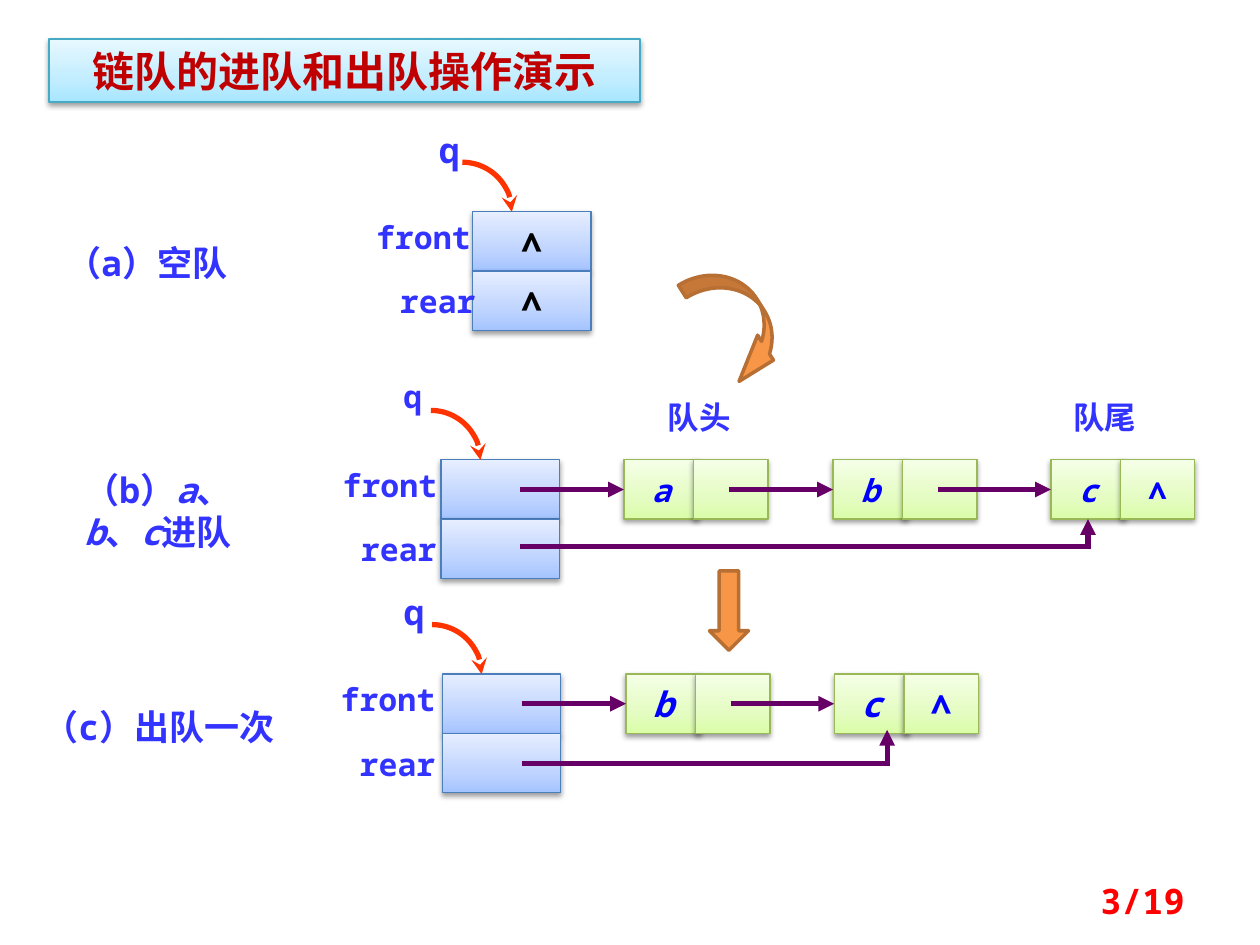
"""Build a slide that shows enqueue and dequeue on a linked queue."""
from lxml.etree import SubElement
from pptx import Presentation
from pptx.dml.color import RGBColor
from pptx.enum.shapes import MSO_CONNECTOR as LINE, MSO_SHAPE as SHAPE
from pptx.enum.text import MSO_ANCHOR as ANCHOR, PP_ALIGN as ALIGN
from pptx.oxml.ns import qn
from pptx.util import Pt

THEME = {
    "font": "Noto Sans Mono",
    "title": "C00000", "label": "3333FF", "null": "000000", "data": "0000FF", "page": "FF0000",
    "pointer": "660066", "entry": "FF3300", "step": "F79646", "step_line": "B76F34",
    "big": 24, "normal": 20, "small": 18, "thick": 3, "medium": 2, "thin": 0.75,
    "banner": (("A7E6FF", "C1EDFF", "E7F8FF"), "46AAC5"),
    "head": (("A4C4FF", "BFD4FF", "E6EEFF"), "4B7EBC"),
    "node": (("DAFDA7", "E4FCC2", "F5FFE7"), "98B955"),
}
TITLE = ("链队的进队和出队操作演示", (28, 22.3, 337.7, 36))
PAGE = ("3/19", (516, 500.4, 168, 28.8))
CAPTIONS = [
    ([("（a）空队", False)], (21.6, 134.6, 124.6, 31.7)),
    ([("（b）", False), ("a", True), ("、", False), ("b", True), ("、", False),
      ("c", True), ("进队", False)], (28, 264.2, 124.6, 55.4)),
    ([("（c）出队一次", False)], (5.8, 399.6, 170, 31)),
]
MARKS = [("队头", 399.6, 223.9), ("队尾", 631.4, 223.9)]
STAGES = [
    {"at": (270, 121), "head": "∧", "nodes": [], "size": "normal", "q_size": "normal",
     "labels": (-13.3, -28.1, -19.8)},
    {"at": (252, 262.8), "head": "", "nodes": [("a", 104.5), ("b", 224), ("c", 348.5)],
     "size": "small", "q_size": "small", "labels": (-16.2, -29.2, -24.1),
     "rear_y": 49.7, "turn": 0},
    {"at": (252.7, 385.2), "head": "", "nodes": [("b", 105), ("c", 224)],
     "size": "normal", "q_size": "normal", "labels": (-16.2, -31, -25.5),
     "rear_y": 51, "turn": 9},
]
STEPS = [
    (SHAPE.CURVED_LEFT_ARROW, (404.6, 148.3, 33.8, 73.4), 327.7, (0.25, 0.5, 0.684)),
    (SHAPE.DOWN_ARROW, (405.4, 326.2, 22.3, 45.4), 0, ()),
]
CELL_W, CELL_H = 67.7, 33.9
NODE_W, NODE_H, NODE_STEP = 42.5, 33.9, 39.8
HEAD_OUT, NODE_OUT, ARC_R, ARC_DX = 45.4, 59.8, 28.3, -5.8
LABEL_W, LABEL_H = 80, 29


def set_all(obj, **values):
    for name, value in values.items():
        setattr(obj, name, value)


def color(key):
    return RGBColor.from_string(THEME.get(key, key))


def points(box):
    return [Pt(v) for v in box]


def write(sp, runs, size, tint, align=ALIGN.CENTER, anchor=ANCHOR.TOP, wrap=True):
    tf = sp.text_frame
    set_all(tf, word_wrap=wrap, vertical_anchor=anchor)
    p = tf.paragraphs[0]
    p.alignment = align
    for text, italic in runs:
        r = p.add_run()
        r.text = text
        set_all(r.font, name=THEME["font"], size=Pt(THEME[size]), bold=True, italic=italic)
        r.font.color.rgb = color(tint)
        SubElement(r.font._element, qn("a:ea"), typeface=THEME["font"])


def add_text(slide, box, runs, size, **style):
    sp = slide.shapes.add_textbox(*points(box))
    write(sp, runs, size, **{"tint": "label", **style})


def add_label(slide, text, center, top, size="small"):
    add_text(slide, (center - LABEL_W / 2, top, LABEL_W, LABEL_H), [(text, False)], size)


def outline(sp, tint, width, tip=None):
    sp.line.color.rgb = color(tint)
    sp.line.width = Pt(THEME[width])
    if tip:
        SubElement(sp._element.spPr.find(qn("a:ln")), qn("a:tailEnd"), type=tip)


def shade(sp, look):
    stops, edge = THEME[look]
    sp.fill.gradient()
    sp.fill.gradient_angle = 90
    spPr = sp._element.spPr
    gs_list = spPr.find(".//" + qn("a:gsLst"))
    gs_list.clear()
    for pos, stop in zip((0, 35000, 100000), stops):
        gs = SubElement(gs_list, qn("a:gs"), pos=str(pos))
        SubElement(gs, qn("a:srgbClr"), val=stop)
    outline(sp, edge, "thin")
    sp.shadow.inherit = False
    shadow = SubElement(spPr.find(qn("a:effectLst")), qn("a:outerShdw"), blurRad=str(Pt(3.1)),
                        dist=str(Pt(1.6)), dir="5400000", rotWithShape="0")
    SubElement(SubElement(shadow, qn("a:srgbClr"), val="000000"), qn("a:alpha"), val="38000")


def add_cell(slide, box, look, text="", size="normal", tint="data"):
    sp = slide.shapes.add_shape(SHAPE.RECTANGLE, *points(box))
    shade(sp, look)
    if text:
        write(sp, [(text, text.isalpha())], size, tint, anchor=ANCHOR.MIDDLE, wrap=False)
    return sp


def add_pointer(slide, start, end, tip="triangle", target=None, side=1):
    cxn = slide.shapes.add_connector(LINE.STRAIGHT, *points((*start, *end)))
    if target is not None:
        cxn.end_connect(target, side)
    outline(cxn, "pointer", "thick", tip)
    SubElement(cxn._element.spPr, qn("a:effectLst"))


def add_entry(slide, x, y):
    arc = slide.shapes.add_shape(
        SHAPE.ARC, *points((x + ARC_DX - ARC_R, y - ARC_R, 2 * ARC_R, 2 * ARC_R)))
    arc.fill.background()
    arc.shadow.inherit = False
    outline(arc, "entry", "thick", "stealth")


def add_stage(slide, stage):
    x, y = stage["at"]
    size, nodes = stage["size"], stage["nodes"]
    for row in range(2):
        add_cell(slide, (x, y + row * CELL_H, CELL_W, CELL_H), "head", stage["head"], size, "null")
    mid, start = y + NODE_H / 2, x + HEAD_OUT
    cells = []
    for i, (name, dx) in enumerate(nodes):
        end_mark = "∧" if i == len(nodes) - 1 else ""
        left = x + dx
        cells.append(add_cell(slide, (left, y, NODE_W, NODE_H), "node", name, size))
        add_cell(slide, (left + NODE_STEP, y, NODE_W, NODE_H), "node", end_mark, size)
    for (name, dx), cell in zip(nodes, cells):
        add_pointer(slide, (start, mid), (x + dx, mid), target=cell)
        start = x + dx + NODE_OUT
    if nodes:
        turn = x + nodes[-1][1] + NODE_W / 2 + stage["turn"]
        rear = y + stage["rear_y"]
        add_pointer(slide, (x + HEAD_OUT, rear), (turn, rear), tip=None)
        target = None if stage["turn"] else cells[-1]
        add_pointer(slide, (turn, rear + 1.5), (turn, y + NODE_H - 2), target=target, side=2)
    add_entry(slide, x, y)
    rows = zip(("q", "front", "rear"), stage["labels"], (-51.1, 0, 36.7),
               (stage["q_size"], "small", "small"))
    for text, center, dy, label_size in rows:
        add_label(slide, text, x + center, y + dy, label_size)


def main():
    prs = Presentation()
    set_all(prs, slide_width=Pt(720), slide_height=Pt(540))
    slide = prs.slides.add_slide(prs.slide_layouts[5])
    text, box = TITLE
    title = slide.shapes.title
    set_all(title, **dict(zip(("left", "top", "width", "height"), points(box))))
    shade(title, "banner")
    write(title, [(text, False)], "big", "title", anchor=ANCHOR.MIDDLE)
    for stage in STAGES:
        add_stage(slide, stage)
    for runs, box in CAPTIONS:
        add_text(slide, box, runs, "normal")
    for text, center, top in MARKS:
        add_label(slide, text, center, top)
    for kind, box, angle, adjustments in STEPS:
        sp = slide.shapes.add_shape(kind, *points(box))
        sp.rotation = angle
        for i, value in enumerate(adjustments):
            sp.adjustments[i] = value
        sp.fill.solid()
        sp.fill.fore_color.rgb = color("step")
        sp.shadow.inherit = False
        outline(sp, "step_line", "medium")
    text, box = PAGE
    add_text(slide, box, [(text, False)], "normal", tint="page", align=ALIGN.RIGHT,
             anchor=ANCHOR.MIDDLE)
    prs.save("out.pptx")


if __name__ == "__main__":
    main()
